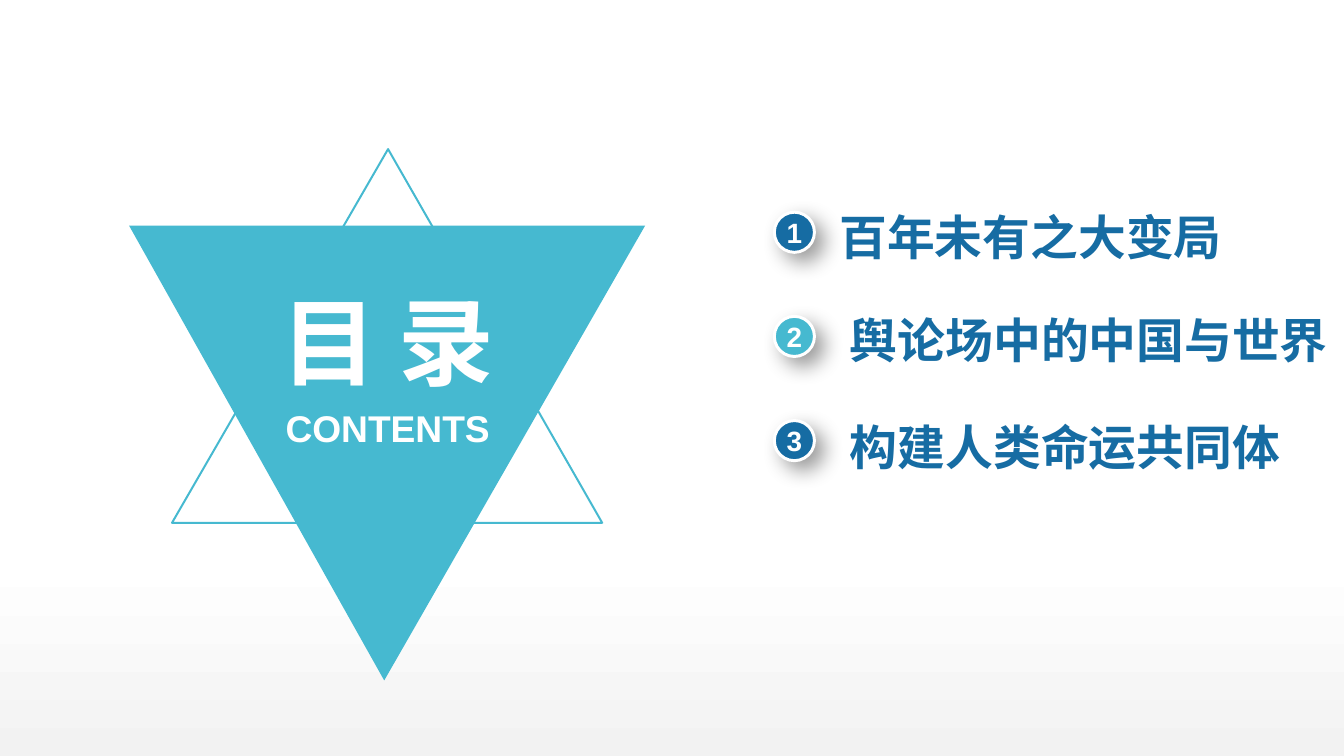
from typing import NamedTuple

from lxml.etree import SubElement
from pptx import Presentation
from pptx.dml.color import RGBColor
from pptx.enum.shapes import MSO_SHAPE as Preset
from pptx.enum.text import MSO_ANCHOR as Anchor, PP_ALIGN as Align
from pptx.oxml.ns import qn
from pptx.util import Inches, Pt

BLUE, TEAL, WHITE, GREY = "166CA3", "46B9D0", "FFFFFF", "F2F2F2"
WIDTH, HEIGHT = 14.06, 7.91
BADGE_LEFT, BADGE_TOP, BADGE_SIZE, ROW_STEP = 8.1, 2.22, 0.42, 1.09


class Box(NamedTuple):
    """Left, top, width and height in inches."""
    left: float
    top: float
    width: float
    height: float

    def lengths(self):
        """Return the four values as lengths."""
        return [Inches(value) for value in self]


class Chapter(NamedTuple):
    """One entry of the contents list."""
    title: str
    badge_color: str
    title_box: Box


CHAPTERS = [
    Chapter("百年未有之大变局", BLUE, Box(8.78, 2.17, 4.08, 0.61)),
    Chapter("舆论场中的中国与世界", TEAL, Box(8.89, 3.25, 5.11, 0.61)),
    Chapter("构建人类命运共同体", BLUE, Box(8.89, 4.37, 5.11, 0.61)),
]


def color(value: str) -> RGBColor:
    """Turn a hex string into a colour."""
    return RGBColor.from_string(value)


def write(shape, text: str, size: float, text_color: str,
          align=Align.CENTER, anchor=Anchor.MIDDLE) -> None:
    """Put one bold run into a shape without margins."""
    frame = shape.text_frame
    frame.word_wrap = True
    frame.vertical_anchor = anchor
    frame.margin_left = frame.margin_right = 0
    frame.margin_top = frame.margin_bottom = 0
    paragraph = frame.paragraphs[0]
    paragraph.alignment = align
    run = paragraph.add_run()
    run.text = text
    run.font.name = "Arial"
    run.font.size = Pt(size)
    run.font.bold = True
    run.font.color.rgb = color(text_color)


def add_label(slide, box: Box, text: str, size: float, text_color: str,
              align=Align.CENTER, anchor=Anchor.MIDDLE) -> None:
    """Add a text box with one line of text."""
    label = slide.shapes.add_textbox(*box.lengths())
    write(label, text, size, text_color, align, anchor)


def add_backdrop(slide) -> None:
    """Cover the slide with a gradient that darkens at the bottom."""
    backdrop = slide.shapes.add_shape(
        Preset.RECTANGLE, *Box(0, 0, WIDTH, HEIGHT).lengths())
    backdrop.shadow.inherit = False
    backdrop.line.fill.background()
    backdrop.fill.gradient()
    backdrop.fill.gradient_angle = 90
    stops = [(0, GREY), (0.26, WHITE)]
    for stop, (position, value) in zip(backdrop.fill.gradient_stops, stops):
        stop.position = position
        stop.color.rgb = color(value)


def add_triangle(slide, corners: list[tuple[float, float]], filled: bool) -> None:
    """Draw a teal triangle, either solid or outlined."""
    start, *others = [(Inches(x), Inches(y)) for x, y in corners]
    builder = slide.shapes.build_freeform(*start)
    builder.add_line_segments(others, close=True)
    triangle = builder.convert_to_shape()
    triangle.shadow.inherit = False
    if filled:
        triangle.fill.solid()
        triangle.fill.fore_color.rgb = color(TEAL)
        triangle.line.fill.background()
    else:
        triangle.fill.background()
        triangle.line.color.rgb = color(TEAL)
        triangle.line.width = Pt(1.5)


def add_shadow(shape) -> None:
    """Give a shape a soft shadow to the lower right."""
    shape.shadow.inherit = False
    effects = shape.element.spPr.find(qn("a:effectLst"))
    shadow = SubElement(effects, qn("a:outerShdw"), blurRad=str(Pt(16)),
                        dist=str(Pt(9)), dir=str(45 * 60000),
                        algn="tl", rotWithShape="0")
    tint = SubElement(shadow, qn("a:srgbClr"), val="000000")
    SubElement(tint, qn("a:alpha"), val="40000")


def add_badge(slide, number: int, top: float, fill: str) -> None:
    """Draw a numbered circle with a white rim."""
    box = Box(BADGE_LEFT, top, BADGE_SIZE, BADGE_SIZE)
    badge = slide.shapes.add_shape(Preset.OVAL, *box.lengths())
    badge.fill.solid()
    badge.fill.fore_color.rgb = color(fill)
    badge.line.color.rgb = color(WHITE)
    badge.line.width = Pt(2.25)
    add_shadow(badge)
    write(badge, str(number), 21, WHITE)


def main() -> None:
    """Build and save the contents slide."""
    presentation = Presentation()
    presentation.slide_width = Inches(WIDTH)
    presentation.slide_height = Inches(HEIGHT)
    slide = presentation.slides.add_slide(presentation.slide_layouts[6])

    add_backdrop(slide)
    add_triangle(slide, [(1.35, 2.36), (6.75, 2.36), (4.02, 7.12)], filled=True)
    add_triangle(slide, [(4.06, 1.56), (6.3, 5.47), (1.8, 5.47)], filled=False)
    for index, chapter in enumerate(CHAPTERS):
        add_badge(slide, index + 1, BADGE_TOP + index * ROW_STEP,
                  chapter.badge_color)
        add_label(slide, chapter.title_box, chapter.title, 36, BLUE, Align.LEFT)
    add_label(slide, Box(2.62, 2.95, 2.87, 1.21), "目 录", 72, WHITE)
    add_label(slide, Box(2.78, 4.24, 2.55, 0.48), "CONTENTS", 28, WHITE,
              anchor=Anchor.TOP)
    presentation.save("out.pptx")


main()
